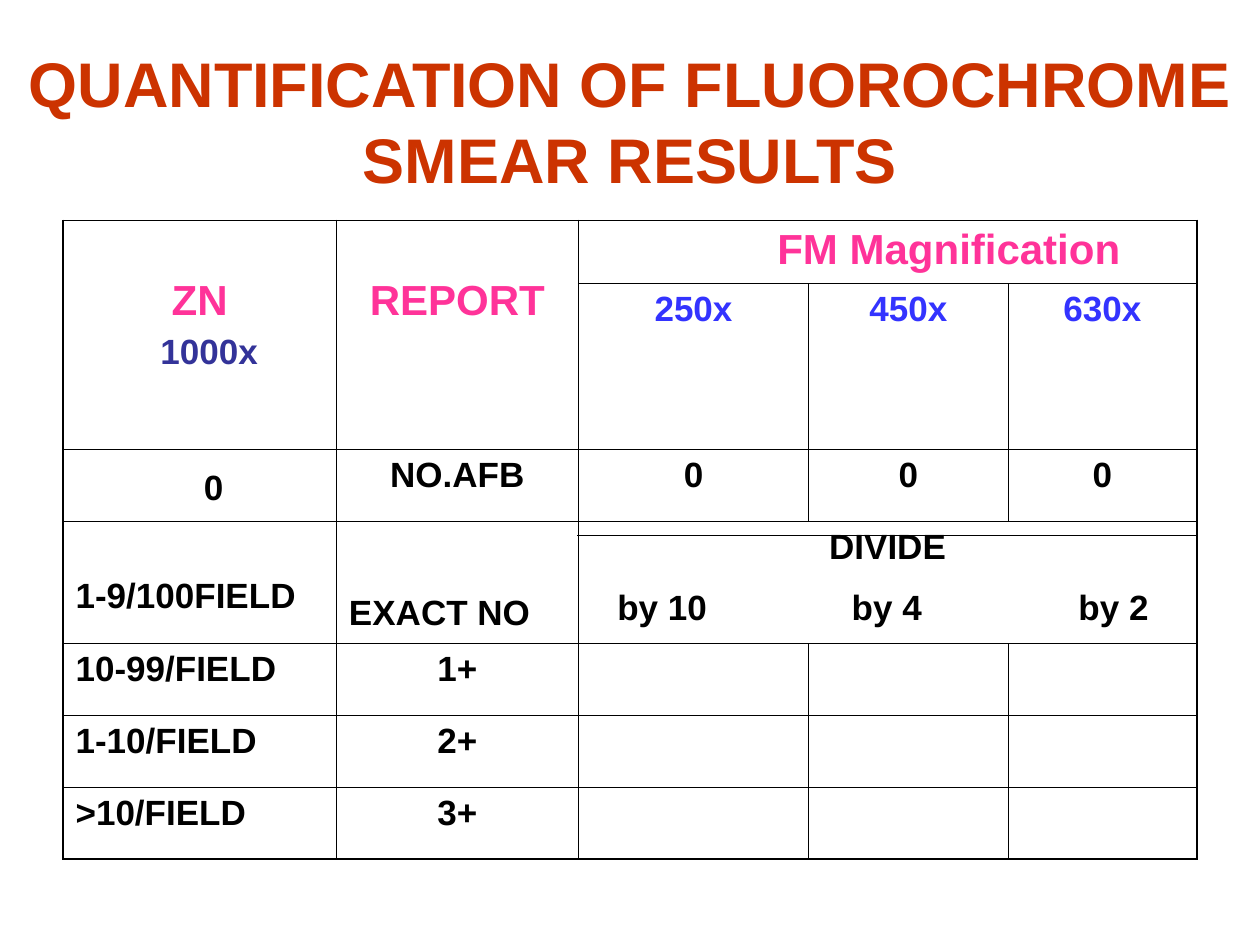
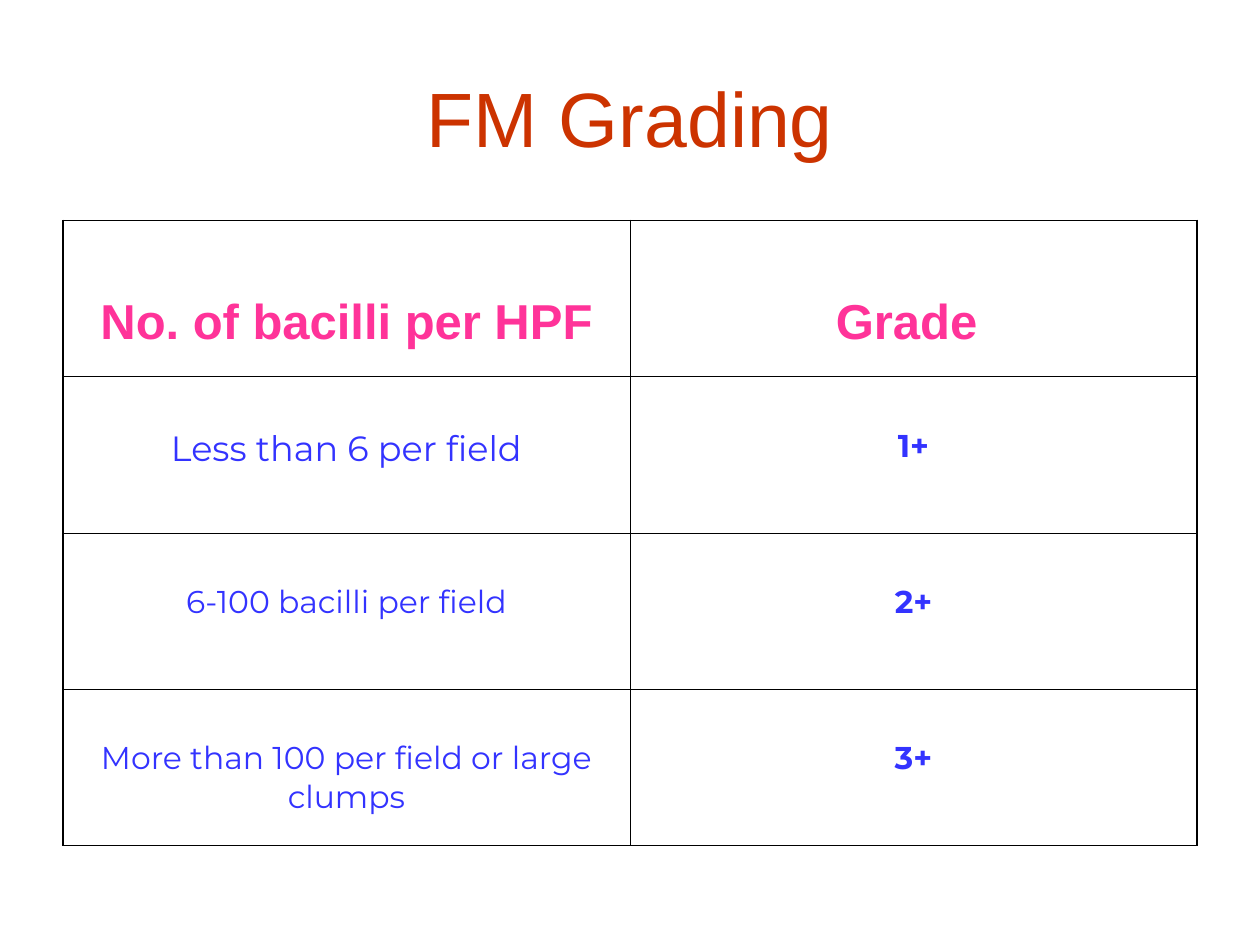
import dataclasses

import lxml.etree
import pptx
import pptx.dml.color
import pptx.enum.shapes
import pptx.enum.text
import pptx.oxml.ns
import pptx.util

Inches = pptx.util.Inches
Pt = pptx.util.Pt
qn = pptx.oxml.ns.qn
CENTER = pptx.enum.text.PP_ALIGN.CENTER
LEFT = pptx.enum.text.PP_ALIGN.LEFT

COLORS = {
    "title": "CC3300",
    "heading": "FF3399",
    "zn": "333399",
    "fm": "3333FF",
    "ink": "000000",
}
OUTER_RULE, INNER_RULE = 1.08, 0.45


@dataclasses.dataclass
class Line:
    text: str
    size: float = 20
    color: str = "ink"
    bold: bool = True
    font: str = "Arial"
    align: int = CENTER
    before: float = 0
    indent: float = 0
    tabs: tuple = ()


@dataclasses.dataclass
class Entry:
    lines: list
    top: float = 0.05
    left: float = 0.1
    right: float = 0.1


def rgb(name):
    return pptx.dml.color.RGBColor.from_string(COLORS[name])


def write_line(paragraph, line):
    properties = paragraph._p.get_or_add_pPr()
    if line.indent:
        properties.set("marL", str(Inches(line.indent)))
    if line.tabs:
        stops = lxml.etree.SubElement(properties, qn("a:tabLst"))
        for position in line.tabs:
            lxml.etree.SubElement(stops, qn("a:tab"), pos=str(Inches(position)), algn="l")
    paragraph.text = line.text
    paragraph.alignment = line.align
    if line.before:
        paragraph.space_before = Pt(line.before)
    paragraph.font.name = line.font
    paragraph.font.size = Pt(line.size)
    paragraph.font.bold = line.bold
    paragraph.font.color.rgb = rgb(line.color)


def add_title(slide, box, line):
    frame = slide.shapes.add_textbox(*map(Inches, box)).text_frame
    frame.word_wrap = True
    frame.vertical_anchor = pptx.enum.text.MSO_ANCHOR.MIDDLE
    write_line(frame.paragraphs[0], line)


def fill_cell(cell, entry):
    cell.margin_top = Inches(entry.top)
    cell.margin_left = Inches(entry.left)
    cell.margin_right = Inches(entry.right)
    for index, line in enumerate(entry.lines):
        frame = cell.text_frame
        write_line(frame.add_paragraph() if index else frame.paragraphs[0], line)


def rule_cell(cell, row, column, row_count, column_count):
    at_edge = {
        "a:lnL": column == 0,
        "a:lnR": column + cell.span_width == column_count if cell.is_merge_origin
        else column == column_count - 1,
        "a:lnT": row == 0,
        "a:lnB": row + cell.span_height == row_count if cell.is_merge_origin
        else row == row_count - 1,
    }
    sides = [side for side in at_edge if at_edge[side] or not cell.is_spanned]
    properties = cell._tc.get_or_add_tcPr()
    for index, side in enumerate(sides):
        width = OUTER_RULE if at_edge[side] else INNER_RULE
        border = lxml.etree.Element(qn(side), w=str(Pt(width)))
        fill = lxml.etree.SubElement(border, qn("a:solidFill"))
        lxml.etree.SubElement(fill, qn("a:srgbClr"), val=COLORS["ink"])
        properties.insert(index, border)


def add_grid(slide, left, top, widths, heights, entries, merges=()):
    table = slide.shapes.add_table(
        len(heights), len(widths), Inches(left), Inches(top),
        Inches(sum(widths)), Inches(sum(heights))).table
    table.first_row = table.horz_banding = False
    for column, width in zip(table.columns, widths):
        column.width = Inches(width)
    for row, height in zip(table.rows, heights):
        row.height = Inches(height)
    for first, last in merges:
        table.cell(*first).merge(table.cell(*last))
    for row in range(len(heights)):
        for column in range(len(widths)):
            cell = table.cell(row, column)
            cell.fill.background()
            rule_cell(cell, row, column, len(heights), len(widths))
            if (row, column) in entries:
                fill_cell(cell, entries[row, column])


def add_rule(slide, left, right, y):
    rule = slide.shapes.add_connector(
        pptx.enum.shapes.MSO_CONNECTOR.STRAIGHT,
        Inches(left), Inches(y), Inches(right), Inches(y))
    rule.line.color.rgb = rgb("ink")
    rule.line.width = Pt(0.75)
    lxml.etree.SubElement(rule._element.spPr, qn("a:effectLst"))


def build_quantification(slide):
    add_title(slide, (0, 0.33, 10, 1.25),
              Line("QUANTIFICATION OF FLUOROCHROME SMEAR RESULTS", 36, "title"))
    entries = {
        (0, 0): Entry([Line("ZN", 24, "heading"),
                       Line("1000x", color="zn", before=5, indent=0.15)], top=0.45),
        (0, 1): Entry([Line("REPORT", 24, "heading")], top=0.45),
        (0, 2): Entry([Line("FM Magnification", 24, "heading", align=LEFT)], left=1.58),
        (2, 0): Entry([Line("0")], top=0.15, left=0.32),
        (2, 1): Entry([Line("NO.AFB")]),
        (3, 0): Entry([Line("1-9/100FIELD", align=LEFT)], top=0.44),
        (3, 1): Entry([Line("EXACT NO", align=LEFT)], top=0.57),
        (3, 2): Entry([Line("DIVIDE"),
                       Line("\tby 10\tby 4\tby 2", align=LEFT, before=12.3,
                            tabs=(0.21, 2.07, 3.87))]),
    }
    for column, magnification in enumerate(("250x", "450x", "630x"), 2):
        entries[1, column] = Entry([Line(magnification, color="fm")])
        entries[2, column] = Entry([Line("0")])
    for grade, count in enumerate(("10-99/FIELD", "1-10/FIELD", ">10/FIELD"), 1):
        entries[grade + 3, 0] = Entry([Line(count, align=LEFT)])
        entries[grade + 3, 1] = Entry([Line(f"{grade}+")])
    add_grid(slide, 0.5, 1.75, (2.17, 1.92, 1.83, 1.58, 1.5),
             (0.5, 1.32, 0.57, 0.97, 0.57, 0.57, 0.57), entries,
             merges=(((0, 0), (1, 0)), ((0, 1), (1, 1)),
                     ((0, 2), (0, 4)), ((3, 2), (3, 4))))
    add_rule(slide, 4.58, 9.5, 4.25)


def build_grading(slide):
    add_title(slide, (0.5, 0.3, 9, 1.25), Line("FM Grading", 44, "title", bold=False))
    entries = {
        (0, 0): Entry([Line("No. of bacilli per HPF", 28, "heading")], top=0.59),
        (0, 1): Entry([Line("Grade", 28, "heading")], top=0.59, right=0.21),
    }
    counts = (("Less than 6 per field", 20), ("6-100 bacilli per field", 18),
              ("More than 100 per field or large clumps", 18))
    for grade, (count, size) in enumerate(counts, 1):
        entries[grade, 0] = Entry([Line(count, size, "fm", False, "Montserrat")], top=0.4)
        entries[grade, 1] = Entry([Line(f"{grade}+", 18, "fm", True, "Montserrat")], top=0.4)
    add_grid(slide, 0.5, 1.75, (4.5, 4.5), (1.24,) * 4, entries)


def main():
    deck = pptx.Presentation()
    deck.slide_width, deck.slide_height = Inches(10), Inches(7.5)
    for build in (build_quantification, build_grading):
        build(deck.slides.add_slide(deck.slide_layouts[6]))
    deck.save("out.pptx")


if __name__ == "__main__":
    main()
